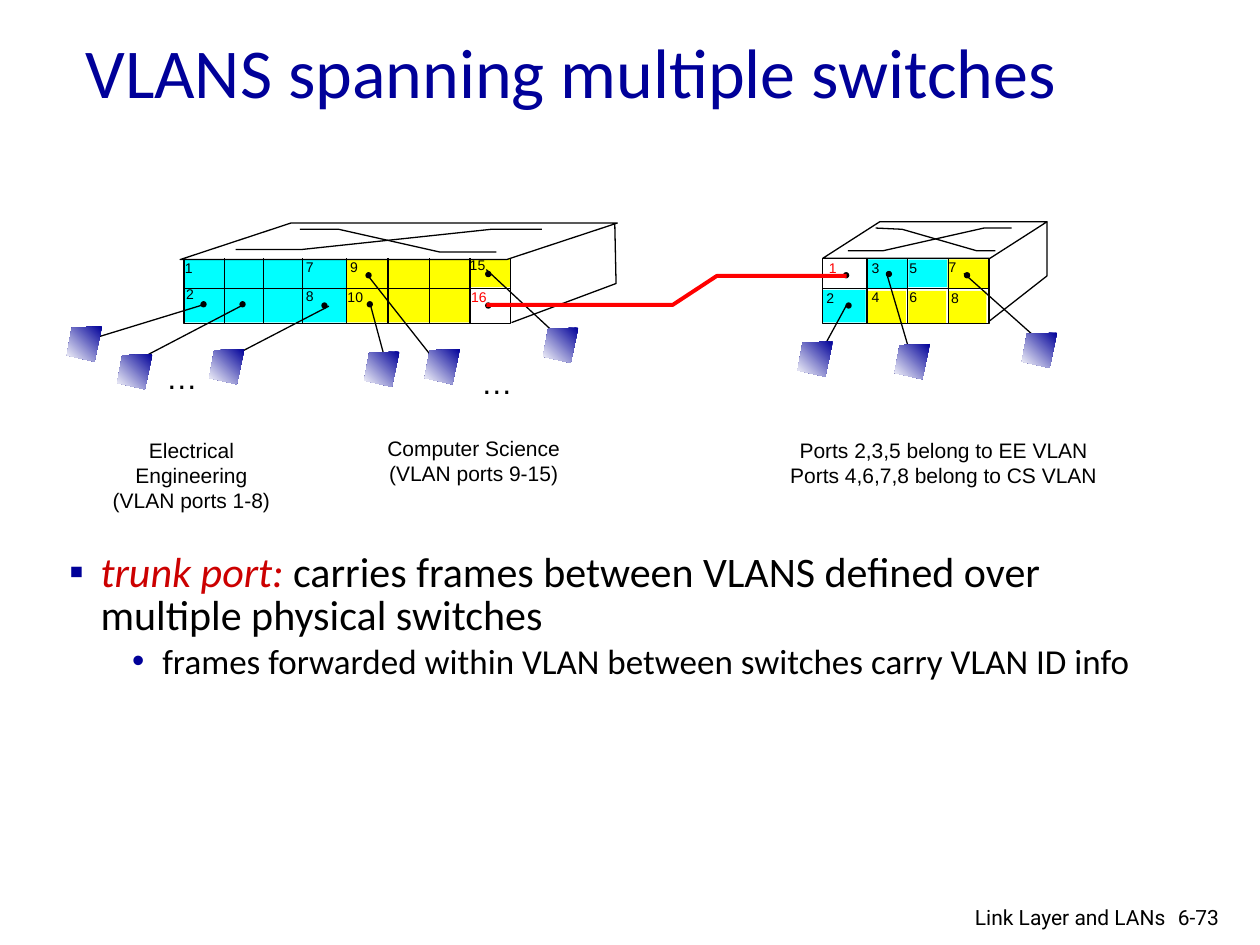
from pptx import Presentation, util as u
from pptx.dml.color import RGBColor
from pptx.enum import shapes, text
from pptx.oxml import parse_xml
from pptx.oxml.ns import nsdecls

PX = 9144  # one px is a hundredth of an inch
THEME = dict(
    navy="000099", crimson="CC0000", black="000000", white="FFFFFF",
    red="FF0000", ee="00FFFF", cs="FFFF00",
    title=40, body=24, sub=20, dots=18, caption=12, port=8,
    thin=0.75, trunk=2.25,
    head="Calibri", label="Arial", foot="Roboto",
)

# Content: text
TITLE = "VLANS spanning multiple switches"
BULLETS = [  # mark, left px, hang px, size, runs of (text, colour, italic)
    ("▪", 25, 25, "body", [
        ("trunk port: ", "crimson", True),
        ("carries frames between VLANS defined over multiple physical switches", "black", False)]),
    ("•", 74, 24, "sub", [
        ("frames forwarded within VLAN between switches carry VLAN ID info", "black", False)]),
]
CAPTIONS = [  # centre, top, width, lines
    (152, 342, 160, ["Electrical Engineering", "(VLAN ports 1-8)"]),
    (376, 341, 180, ["Computer Science", "(VLAN ports 9-15)"]),
    (749, 342, 290, ["Ports 2,3,5 belong to EE VLAN", "Ports 4,6,7,8 belong to CS VLAN"]),
]
FOOTER = [("6-73", 925, 60, "LEFT"), ("Link Layer and LANs", 697, 238, "RIGHT")]

# Content: the two switches
SWITCHES = [
    dict(front=(146, 205, 405, 257), middle=229, top=(143, 177, 347, 29), slant=3.03,
         columns=[178, 209, 240, 275, 308, 341, 373],
         cells=[("ee", 146, 206, 129, 50), ("cs", 275, 206, 98, 50), ("cs", 373, 205, 32, 23)],
         outlines=[[(406, 256), (489, 225), (488, 177)],
                   [(187, 198), (240, 198), (390, 182), (430, 182)],
                   [(238, 182), (269, 182), (349, 200), (394, 200)]]),
    dict(front=(653, 205, 785, 257), middle=229, top=(653, 176, 178, 29), slant=1.56,
         columns=[688, 720, 753],
         cells=[("ee", 653, 230, 34, 26), ("ee", 689, 206, 31, 23), ("ee", 721, 206, 31, 22),
                ("cs", 752, 206, 32, 23), ("cs", 689, 231, 30, 26), ("cs", 721, 231, 30, 26),
                ("cs", 753, 231, 30, 26)],
         outlines=[[(831, 176), (831, 219), (785, 255)],
                   [(673, 199), (701, 199), (781, 181), (803, 181)],
                   [(695, 181), (716, 182), (775, 199), (790, 199)]]),
]
CABLES = [  # port end, host end, top-left of the host
    ((161, 242), (63, 272), (53, 259)), ((193, 242), (105, 288), (93, 281)),
    ((261, 243), (184, 283), (166, 277)), ((294, 242), (305, 283), (289, 279)),
    ((293, 220), (345, 286), (337, 277)), ((386, 214), (443, 267), (431, 260)),
    ((672, 242), (654, 275), (633, 271)), ((704, 218), (724, 286), (710, 273)),
    ((765, 217), (821, 267), (811, 264)),
]
DOTS = [(159, 239), (190, 239), (255, 240), (291, 239), (290, 216), (385, 215), (385, 240),
        (671, 240), (765, 216), (703, 215), (669, 216)]
PORTS = [  # number, left, top
    ("1", 137, 201), ("2", 138, 222), ("7", 233, 200), ("8", 233, 223), ("9", 268, 200),
    ("10", 266, 224), ("15", 363, 199), ("2", 646, 225), ("3", 682, 201), ("4", 682, 224),
    ("5", 712, 201), ("6", 712, 224), ("7", 743, 200), ("8", 745, 225),
]
TRUNK_PORTS = [("16", 364, 224), ("1", 648, 201)]
TRUNK = [(386, 242), (534, 242), (569, 219), (672, 219)]
MORE_HOSTS = [("…", 122, 279), ("…", 372, 283)]
HOST = [(28, 0), (4, 1), (0, 23), (22, 28)]

presentation = Presentation()
presentation.slide_width, presentation.slide_height = 1000 * PX, 750 * PX
slide = presentation.slides.add_slide(presentation.slide_layouts[6])


def colour(name):
    return RGBColor.from_string(THEME[name])


def paint(shape, fill=None, line=None, width="thin"):
    shape.shadow.inherit = False
    if fill:
        shape.fill.solid()
        shape.fill.fore_color.rgb = colour(fill)
    else:
        shape.fill.background()
    if line:
        shape.line.color.rgb = colour(line)
        shape.line.width = u.Pt(THEME[width])
    else:
        shape.line.fill.background()
    return shape


def preset(kind, x, y, w, h, **style):
    shape = slide.shapes.add_shape(kind, x * PX, y * PX, w * PX, h * PX)
    return paint(shape, **style)


def outline(points, close=False, **style):
    builder = slide.shapes.build_freeform(*points[0], scale=PX)
    builder.add_line_segments(points[1:], close=close)
    return paint(builder.convert_to_shape(), **style)


def connect(start, end):
    line = slide.shapes.add_connector(
        shapes.MSO_CONNECTOR.STRAIGHT, *(value * PX for value in (*start, *end)))
    line.line.color.rgb = colour("black")
    line.line.width = u.Pt(THEME["thin"])
    line._element.spPr.append(parse_xml(f"<a:effectLst {nsdecls('a')}/>"))


def text_frame(x, y, w, h, wrap=True, anchor="TOP"):
    frame = slide.shapes.add_textbox(x * PX, y * PX, w * PX, h * PX).text_frame
    frame.word_wrap = wrap
    frame.vertical_anchor = text.MSO_ANCHOR[anchor]
    return frame


def add_run(paragraph, words, size, font, tint="black", italic=False):
    run = paragraph.add_run()
    run.text = words
    format_values = dict(name=THEME[font], size=u.Pt(THEME[size]), italic=italic)
    for name, value in format_values.items():
        setattr(run.font, name, value)
    run.font.color.rgb = colour(tint)


def write(frame, lines, size, font, tint="black", align="LEFT"):
    for index, words in enumerate(lines):
        paragraph = frame.add_paragraph() if index else frame.paragraphs[0]
        paragraph.alignment = text.PP_ALIGN[align]
        add_run(paragraph, words, size, font, tint)


# Title and bullets
write(text_frame(58, 25, 915, 62, anchor="MIDDLE"), [TITLE], "title", "head", "navy")
body = text_frame(45, 434, 907, 294)
for index, (mark, left, hang, size, runs) in enumerate(BULLETS):
    paragraph = body.add_paragraph() if index else body.paragraphs[0]
    properties = paragraph._p.get_or_add_pPr()
    properties.set("marL", str(left * PX))
    properties.set("indent", str(-hang * PX))
    for xml in (f'<a:buClr {nsdecls("a")}><a:srgbClr val="{THEME["navy"]}"/></a:buClr>',
                f'<a:buFont {nsdecls("a")} typeface="{THEME["label"]}"/>',
                f'<a:buChar {nsdecls("a")} char="{mark}"/>'):
        properties.append(parse_xml(xml))
    paragraph.line_spacing = 0.85
    if index:
        paragraph.space_before = u.Pt(THEME[size] * 0.2)
    for words, tint, italic in runs:
        add_run(paragraph, words, size, "head", tint, italic)

# Switches: coloured ports, box, grid
for switch in SWITCHES:
    for fill, *place in switch["cells"]:
        preset(shapes.MSO_SHAPE.RECTANGLE, *place, fill=fill)
    left, top, right, bottom = switch["front"]
    preset(shapes.MSO_SHAPE.RECTANGLE, left, top, right - left, bottom - top, line="black")
    lid = preset(shapes.MSO_SHAPE.PARALLELOGRAM, *switch["top"], fill="white", line="black")
    lid.adjustments[0] = switch["slant"]
    for points in switch["outlines"]:
        outline(points, line="black")
    connect((left, switch["middle"]), (right, switch["middle"]))
    for x in switch["columns"]:
        connect((x, top), (x, bottom))

# Cables, dots and port numbers
for port, host, _ in CABLES:
    connect(port, host)
for x, y in DOTS:
    preset(shapes.MSO_SHAPE.OVAL, x, y, 5, 5, fill="black")
for labels, size, tint, height in ((PORTS, "port", "black", 23), (TRUNK_PORTS, "port", "red", 23),
                                   (MORE_HOSTS, "dots", "black", 40)):
    for words, x, y in labels:
        width = 45 if size == "dots" else 19 + 7 * len(words)
        write(text_frame(x, y, width, height, wrap=False), [words], size, "label", tint)
outline(TRUNK, line="red", width="trunk")

# Hosts, shaded from the top right
for _, _, (x, y) in CABLES:
    host = outline([(x + dx, y + dy) for dx, dy in HOST], close=True)
    host.fill.gradient()
    host.fill.gradient_angle = 225
    for stop, tint in zip(host.fill.gradient_stops, ("navy", "white")):
        stop.color.rgb = colour(tint)

# Captions and footer
for centre, top, width, lines in CAPTIONS:
    write(text_frame(centre - width // 2, top, width, 50), lines, "caption", "label", align="CENTER")
for words, x, width, align in FOOTER:
    write(text_frame(x, 713, width, 28), [words], "caption", "foot", align=align)

presentation.save("out.pptx")
